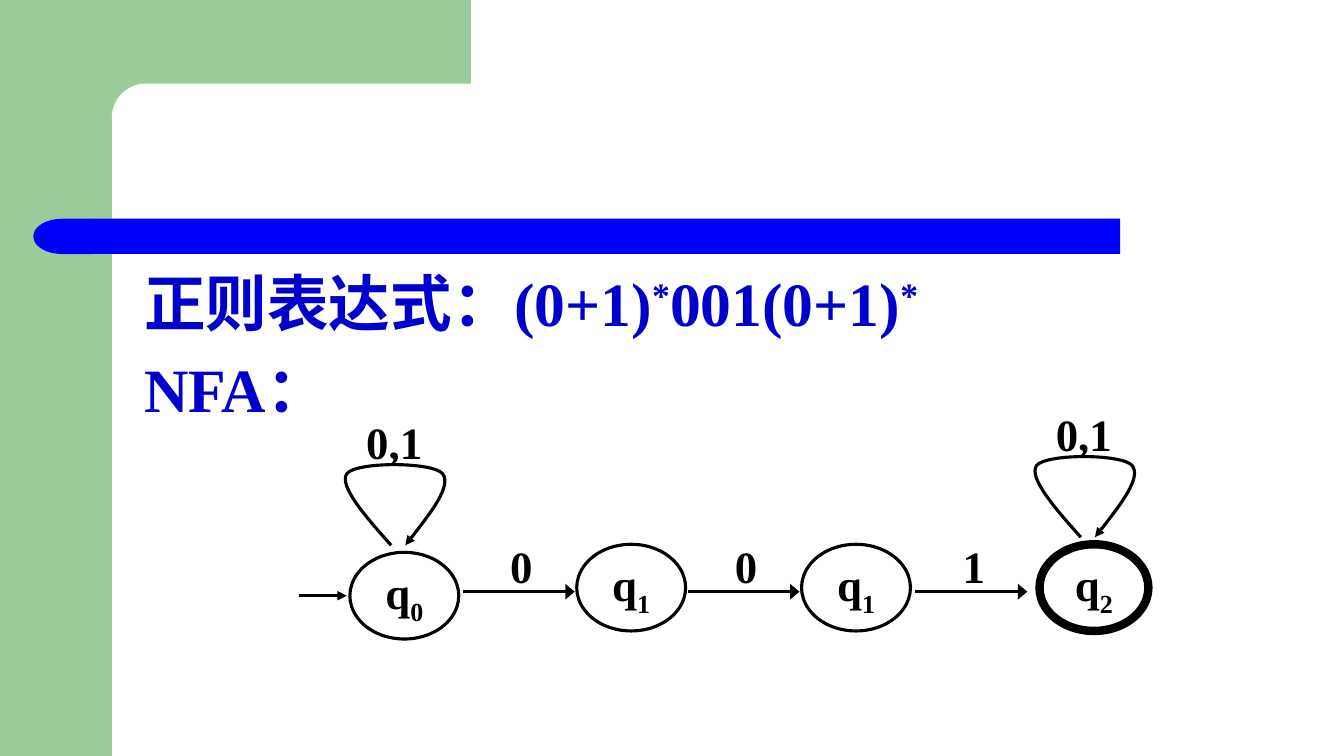
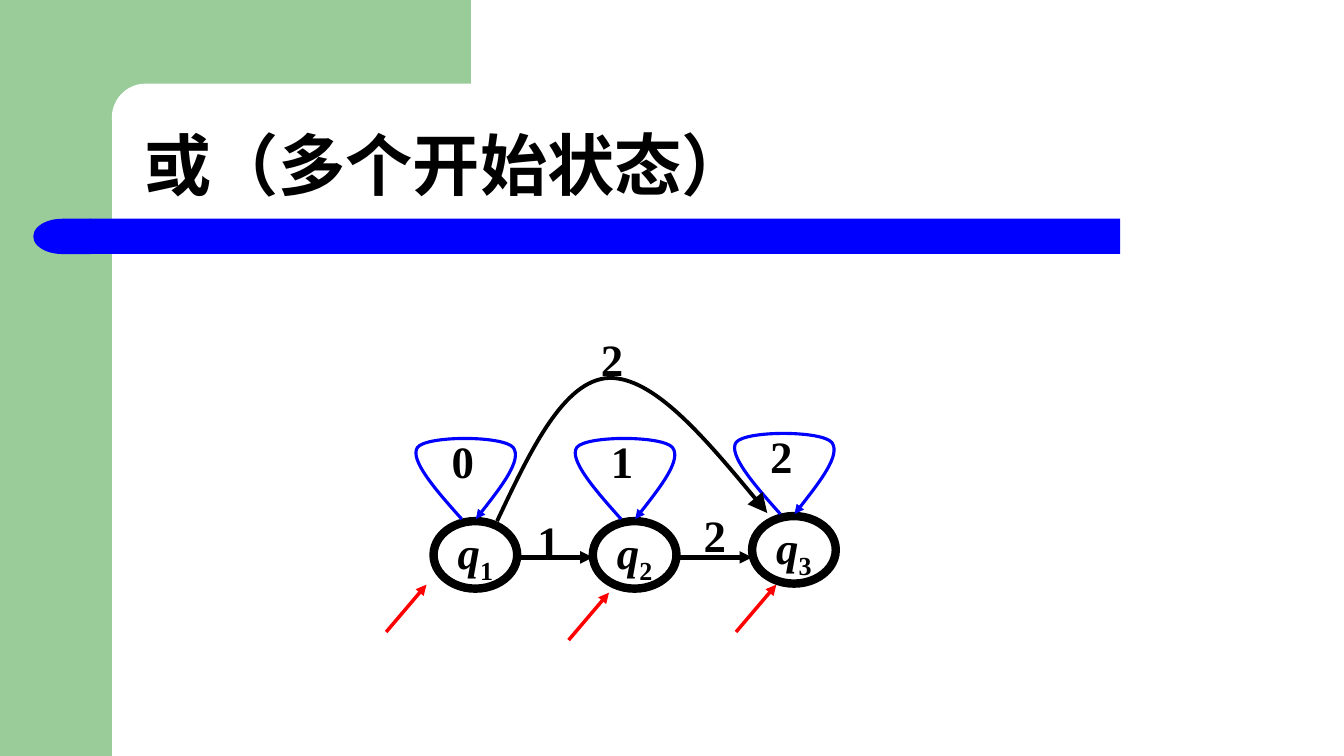
from dataclasses import dataclass

import lxml.etree
import pptx
import pptx.dml.color
import pptx.enum.lang
import pptx.enum.shapes
import pptx.enum.text
import pptx.oxml
import pptx.oxml.ns
import pptx.util

Inches = pptx.util.Inches
Shape = pptx.enum.shapes.MSO_SHAPE
Anchor = pptx.enum.text.MSO_ANCHOR
Align = pptx.enum.text.PP_ALIGN
qn = pptx.oxml.ns.qn


def rgb(value):
    return pptx.dml.color.RGBColor.from_string(value)


@dataclass(frozen=True)
class Theme:
    font: str = "Times New Roman"
    ink = rgb("000000")
    paper = rgb("FFFFFF")
    green = rgb("99CC99")
    blue = rgb("0000FF")
    body = rgb("0000CC")
    red = rgb("FF0000")
    title_size: int = 48
    body_size: int = 44
    label_size: int = 32
    thin: float = 2.25
    bold: float = 6


@dataclass(frozen=True)
class Box:
    left: float
    top: float
    width: float
    height: float

    def place(self, shape):
        shape.left, shape.top = Inches(self.left), Inches(self.top)
        shape.width, shape.height = Inches(self.width), Inches(self.height)

    def lengths(self):
        return [Inches(value) for value in (self.left, self.top, self.width, self.height)]


theme = Theme()
LOOP = [(0, 0), (-0.26, -0.29), (-0.52, -0.59), (-0.44, -0.71), (-0.35, -0.83),
        (0.41, -0.83), (0.51, -0.71), (0.60, -0.59), (0.37, -0.29), (0.14, 0)]


def format_paragraph(paragraph, size, color, align):
    paragraph.alignment = align
    font = paragraph.font
    font.name, font.size, font.bold = theme.font, pptx.util.Pt(size), True
    font.color.rgb = color


def add_run(paragraph, text, baseline=0, italic=False):
    run = paragraph.add_run()
    run.text = text
    run.font.language_id = pptx.enum.lang.MSO_LANGUAGE_ID.SIMPLIFIED_CHINESE
    if italic:
        run.font.italic = True
    if baseline:
        run._r.get_or_add_rPr().set("baseline", str(baseline * 1000))


def add_arrowhead(line, width="med", length="med"):
    head = lxml.etree.SubElement(line._get_or_add_ln(), qn("a:tailEnd"))
    head.set("type", "triangle")
    head.set("w", width)
    head.set("len", length)


def add_band(slide, kind, box, color, adjustment=None):
    shape = slide.shapes.add_shape(kind, *box.lengths())
    shape.shadow.inherit = False
    shape.fill.solid()
    shape.fill.fore_color.rgb = color
    shape.line.fill.background()
    if adjustment is not None:
        shape.adjustments[0] = adjustment
    return shape


def move_bands_to_master(presentation, slide):
    bands = [
        add_band(slide, Shape.RECTANGLE, Box(0, 0, 1.11, 7.5), theme.green),
        add_band(slide, Shape.RECTANGLE, Box(1, 0, 3.67, 1.17), theme.green),
        add_band(slide, Shape.ROUNDED_RECTANGLE, Box(1.11, 0.83, 7.44, 0.67), theme.paper, 0.5),
        add_band(slide, Shape.RECTANGLE, Box(0.89, 2.17, 10.22, 0.35), theme.blue),
        add_band(slide, Shape.FLOWCHART_DELAY, Box(0.33, 2.17, 0.57, 0.35), theme.blue),
    ]
    bands[-1].rotation = 180
    tree = presentation.slide_master.shapes._spTree
    for position, band in enumerate(bands, start=2):
        tree.insert(position, band._element)


def fill_title(slide, box, text):
    title = slide.shapes.title
    box.place(title)
    frame = title.text_frame
    frame.auto_size = pptx.enum.text.MSO_AUTO_SIZE.NONE
    frame.vertical_anchor = Anchor.BOTTOM
    paragraph = frame.paragraphs[0]
    paragraph.line_spacing = 0.9
    format_paragraph(paragraph, theme.title_size, theme.ink, Align.LEFT)
    add_run(paragraph, text)


def fill_body(slide, box, lines):
    body = slide.placeholders[1]
    box.place(body)
    frame = body.text_frame
    frame.auto_size = pptx.enum.text.MSO_AUTO_SIZE.NONE
    for index, runs in enumerate(lines):
        paragraph = frame.add_paragraph() if index else frame.paragraphs[0]
        properties = paragraph._p.get_or_add_pPr()
        properties.set("marL", str(Inches(0.38)))
        properties.set("indent", str(Inches(-0.38)))
        if not index:
            paragraph.space_before = pptx.util.Pt(0)
        lxml.etree.SubElement(properties, qn("a:buNone"))
        format_paragraph(paragraph, theme.body_size, theme.body, Align.LEFT)
        for text, baseline in runs:
            add_run(paragraph, text, baseline)


class Automaton:
    def __init__(self, slide, box):
        self.shapes = slide.shapes
        self.box = box

    def point(self, x, y):
        return Inches(self.box.left + x), Inches(self.box.top + y)

    def state(self, x, y, width, height, index, weight, italic=False):
        shape = self.shapes.add_shape(
            Shape.OVAL, *self.point(x, y), Inches(width), Inches(height))
        shape.shadow.inherit = False
        shape.fill.background()
        shape.line.color.rgb = theme.ink
        shape.line.width = pptx.util.Pt(weight)
        frame = shape.text_frame
        frame.word_wrap = False
        frame.vertical_anchor = Anchor.MIDDLE
        paragraph = frame.paragraphs[0]
        format_paragraph(paragraph, theme.label_size, theme.ink, Align.CENTER)
        add_run(paragraph, "q", italic=italic)
        add_run(paragraph, index, -25)

    def label(self, center, top, text):
        width = 1.1
        shape = self.shapes.add_textbox(
            *self.point(center - width / 2, top), Inches(width), Inches(0.54))
        frame = shape.text_frame
        frame.word_wrap = True
        frame.margin_left = frame.margin_right = frame.margin_top = frame.margin_bottom = 0
        frame.vertical_anchor = Anchor.MIDDLE
        paragraph = frame.paragraphs[0]
        format_paragraph(paragraph, theme.label_size, theme.ink, Align.CENTER)
        add_run(paragraph, text)

    def arrow(self, start, end, color, weight, head="med"):
        connector = self.shapes.add_connector(
            pptx.enum.shapes.MSO_CONNECTOR.STRAIGHT, *self.point(*start), *self.point(*end))
        connector.line.color.rgb = color
        connector.line.width = pptx.util.Pt(weight)
        add_arrowhead(connector.line, head)
        lxml.etree.SubElement(connector._element.spPr, qn("a:effectLst"))

    def curve(self, points, color, weight, head="med"):
        first, *others = [self.point(*point) for point in points]
        builder = self.shapes.build_freeform(*first)
        builder.add_line_segments(others, close=False)
        shape = builder.convert_to_shape()
        outline = shape._element.find(".//" + qn("a:path"))
        outline.set("fill", "none")
        segments = outline.findall(qn("a:lnTo"))
        for index in range(0, len(segments), 3):
            bezier = lxml.etree.SubElement(outline, qn("a:cubicBezTo"))
            for segment in segments[index:index + 3]:
                bezier.append(segment[0])
                outline.remove(segment)
        shape.shadow.inherit = False
        shape.fill.background()
        shape.line.color.rgb = color
        shape.line.width = pptx.util.Pt(weight)
        add_arrowhead(shape.line, head, head)

    def loop(self, x, y, color):
        self.curve([(x + dx, y + dy) for dx, dy in LOOP], color, theme.thin)


def draw_substring_automaton(slide, box):
    automaton = Automaton(slide, box)
    states = [(0.5, 1.44, "0"), (2.75, 1.36, "1"), (4.98, 1.36, "1"), (7.34, 1.36, "2")]
    for x, y, index in states:
        weight = theme.bold if index == "2" else theme.thin
        automaton.state(x, y, 1.08, 0.86, index, weight)
    for x, y, _ in (states[0], states[-1]):
        automaton.loop(x + 0.41, y - 0.07, theme.ink)
        automaton.label(x + 0.44, y - 1.37, "0,1")
    automaton.arrow((0, 1.87), (0.47, 1.87), theme.ink, theme.thin)
    for x, text in [(1.62, "0"), (3.85, "0"), (6.11, "1")]:
        automaton.arrow((x, 1.83), (x + 1.11, 1.83), theme.ink, theme.thin, "lg")
        automaton.label(x + 0.58, 1.3, text)


def draw_multiple_start_automaton(slide, box):
    automaton = Automaton(slide, box)
    pitch = 1.58
    tops = [1.88, 1.88, 1.83]
    for number, top in enumerate(tops):
        x = 0.47 + number * pitch
        automaton.state(x, top, 0.83, 0.67, str(number + 1), theme.bold, italic=True)
        automaton.loop(x + 0.28, top - 0.02, theme.blue)
        automaton.label(x + 0.29, top - 0.87, str(number))
    for number, (center, top) in enumerate([(1.61, 1.8), (3.26, 1.74)]):
        x = 1.3 + number * pitch
        automaton.arrow((x, 2.24), (x + 0.75, 2.24), theme.ink, 3)
        automaton.label(center, top, str(number + 1))
    for x, y in [(0, 2.98), (1.81, 3.06), (3.47, 2.98)]:
        automaton.arrow((x, y), (x + 0.4, y - 0.47), theme.red, 2.5)
    automaton.curve([(1.1, 1.88), (1.43, 1.18), (1.76, 0.48), (2.21, 0.46),
                     (2.65, 0.45), (3.22, 1.12), (3.78, 1.8)], theme.ink, 2.75, "lg")
    automaton.label(2.24, 0, "2")


def build_expression_slide(presentation):
    slide = presentation.slides.add_slide(presentation.slide_layouts[1])
    title = slide.shapes.title._element
    title.getparent().remove(title)
    fill_body(slide, Box(1.33, 2.58, 11.67, 4.08), [
        [("正则表达式：(0+1)", 0), ("*", 30), ("001(0+1)", 0), ("*", 30)],
        [("NFA：", 0)],
    ])
    draw_substring_automaton(slide, Box(2.97, 4.04, 8.42, 2.3))
    return slide


def build_start_states_slide(presentation):
    slide = presentation.slides.add_slide(presentation.slide_layouts[5])
    fill_title(slide, Box(1.33, 0.83, 11.67, 1.25), "或（多个开始状态）")
    draw_multiple_start_automaton(slide, Box(3.83, 3.29, 4.46, 3.06))


def main():
    presentation = pptx.Presentation()
    presentation.slide_width, presentation.slide_height = Inches(13.33), Inches(7.5)
    slide = build_expression_slide(presentation)
    move_bands_to_master(presentation, slide)
    build_start_states_slide(presentation)
    presentation.save("out.pptx")


if __name__ == "__main__":
    main()
